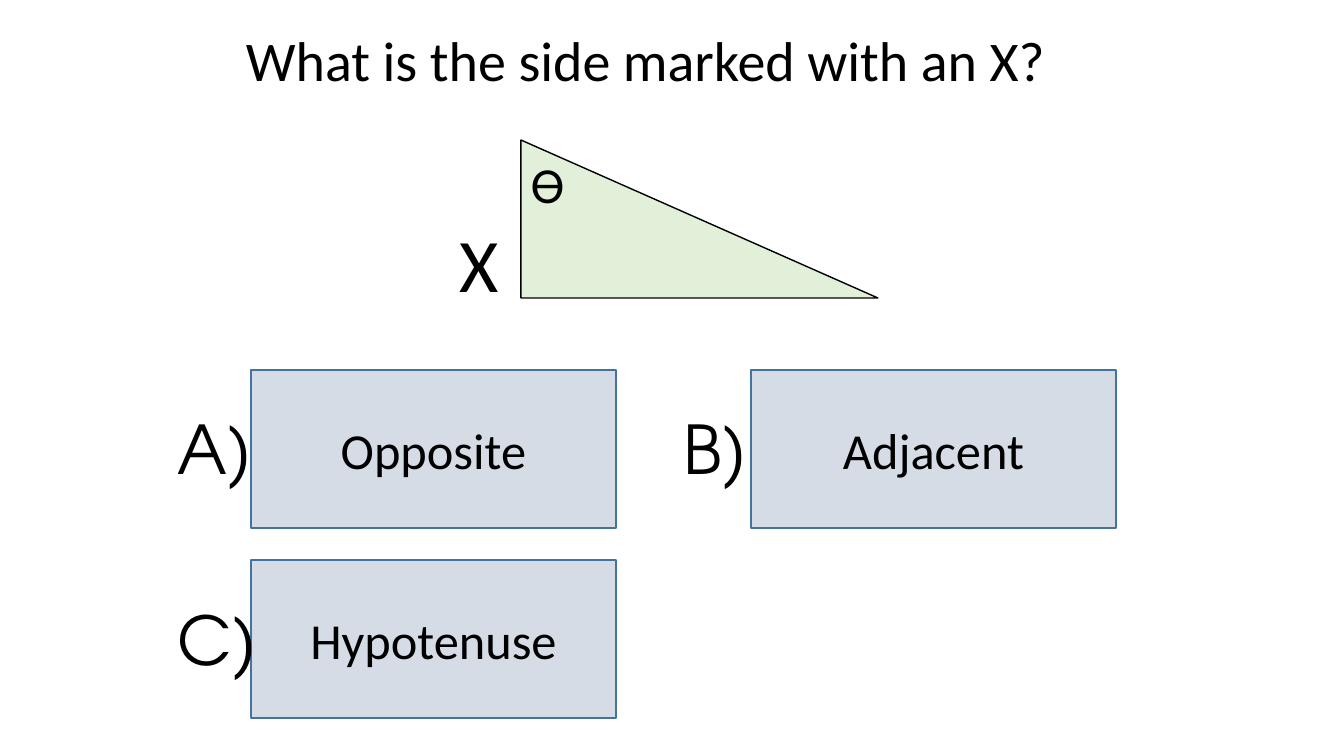
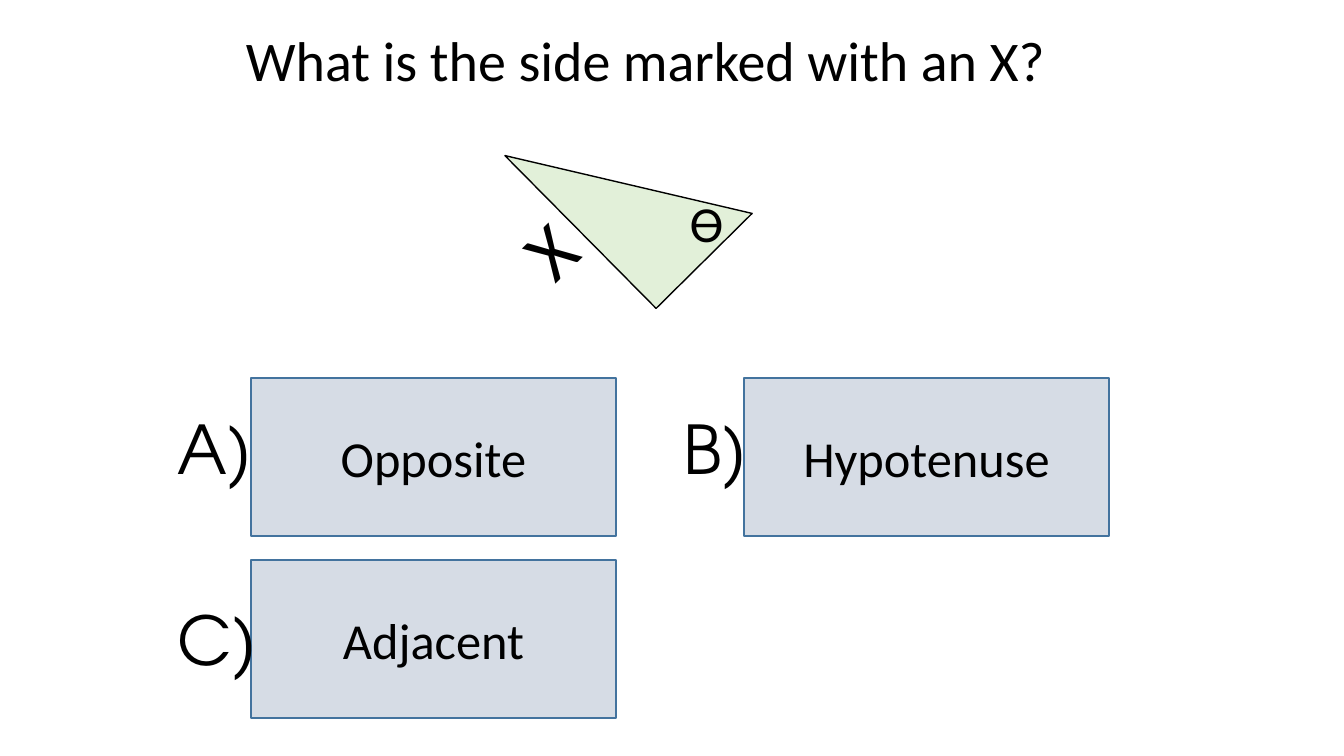
"""Build two multiple-choice slides about naming the sides of a right triangle."""
import dataclasses

import pptx
import pptx.dml.color
import pptx.enum.shapes
import pptx.enum.text
import pptx.util


@dataclasses.dataclass(frozen=True)
class Theme:
    ink: str = "000000"
    answer_fill: str = "D6DCE5"
    answer_line: str = "43739E"
    triangle_fill: str = "E2F0D9"
    body_font: str = "Calibri"
    letter_font: str = "TeX Gyre Adventor"
    title_size: int = 40
    answer_size: int = 36
    letter_size: int = 48
    angle_size: int = 36
    side_size: int = 54
    line_width: int = 1


THEME = Theme()
PX_PER_INCH = 100.8
SLIDE_SIZE = (1344, 756)

TITLE = "What is the side marked with an X?"
TITLE_BOX = (236, 21, 865, 146)
ANSWER_SIZE = (365, 158)
LEFT_COLUMN, BOTTOM_ROW = 251, 560
LETTERS = [
    ("A)", (168, 402, 96, 92)),
    ("B)", (674, 402, 85, 92)),
    ("C)", (168, 593, 101, 92)),
]
ANGLE_SIZE = (54, 72)
SIDE_SIZE = (67, 102)

QUESTIONS = [
    {
        "answers": ["Opposite", "Adjacent", "Hypotenuse"],
        "right_column": 751,
        "top_row": 370,
        "triangle": (521, 140, 357, 158),
        "triangle_rotation": 0,
        "angle": (521, 148),
        "side": (450, 212),
        "side_rotation": 0,
    },
    {
        "answers": ["Opposite", "Hypotenuse", "Adjacent"],
        "right_column": 744,
        "top_row": 378,
        "triangle": (561, 77, 135, 215),
        "triangle_rotation": 315.3,
        "angle": (680, 187),
        "side": (518, 196),
        "side_rotation": 315.7,
    },
]


def px(*lengths):
    return [pptx.util.Inches(length / PX_PER_INCH) for length in lengths]


def color(code):
    return pptx.dml.color.RGBColor.from_string(code)


def write(shape, text, size, font=THEME.body_font, align=None):
    paragraph = shape.text_frame.paragraphs[0]
    paragraph.alignment = align
    run = paragraph.add_run()
    run.text = text
    run.font.name = font
    run.font.size = pptx.util.Pt(size)
    run.font.color.rgb = color(THEME.ink)


def add_label(slide, text, box, size, font=THEME.body_font, wrap=False, rotation=0):
    label = slide.shapes.add_textbox(*px(*box))
    label.rotation = rotation
    label.text_frame.word_wrap = wrap
    label.text_frame.auto_size = pptx.enum.text.MSO_AUTO_SIZE.SHAPE_TO_FIT_TEXT
    write(label, text, size, font)


def add_figure(slide, kind, box, fill, line, rotation=0):
    shape = slide.shapes.add_shape(kind, *px(*box))
    shape.rotation = rotation
    shape.shadow.inherit = False
    shape.fill.solid()
    shape.fill.fore_color.rgb = color(fill)
    shape.line.color.rgb = color(line)
    shape.line.width = pptx.util.Pt(THEME.line_width)
    return shape


def add_question(slide, question):
    kinds = pptx.enum.shapes.MSO_SHAPE
    corners = [
        (LEFT_COLUMN, question["top_row"]),
        (question["right_column"], question["top_row"]),
        (LEFT_COLUMN, BOTTOM_ROW),
    ]
    for answer, corner in zip(question["answers"], corners):
        shape = add_figure(slide, kinds.RECTANGLE, corner + ANSWER_SIZE,
                           THEME.answer_fill, THEME.answer_line)
        shape.text_frame.vertical_anchor = pptx.enum.text.MSO_ANCHOR.MIDDLE
        write(shape, answer, THEME.answer_size, align=pptx.enum.text.PP_ALIGN.CENTER)
    for letter, box in LETTERS:
        add_label(slide, letter, box, THEME.letter_size, THEME.letter_font)
    add_figure(slide, kinds.RIGHT_TRIANGLE, question["triangle"],
               THEME.triangle_fill, THEME.ink, question["triangle_rotation"])
    add_label(slide, "ϴ", question["angle"] + ANGLE_SIZE, THEME.angle_size)
    add_label(slide, "X", question["side"] + SIDE_SIZE, THEME.side_size,
              rotation=question["side_rotation"])
    add_label(slide, TITLE, TITLE_BOX, THEME.title_size, wrap=True)


def main():
    presentation = pptx.Presentation()
    presentation.slide_width, presentation.slide_height = px(*SLIDE_SIZE)
    for question in QUESTIONS:
        slide = presentation.slides.add_slide(presentation.slide_layouts[6])
        add_question(slide, question)
    presentation.save("out.pptx")


if __name__ == "__main__":
    main()
